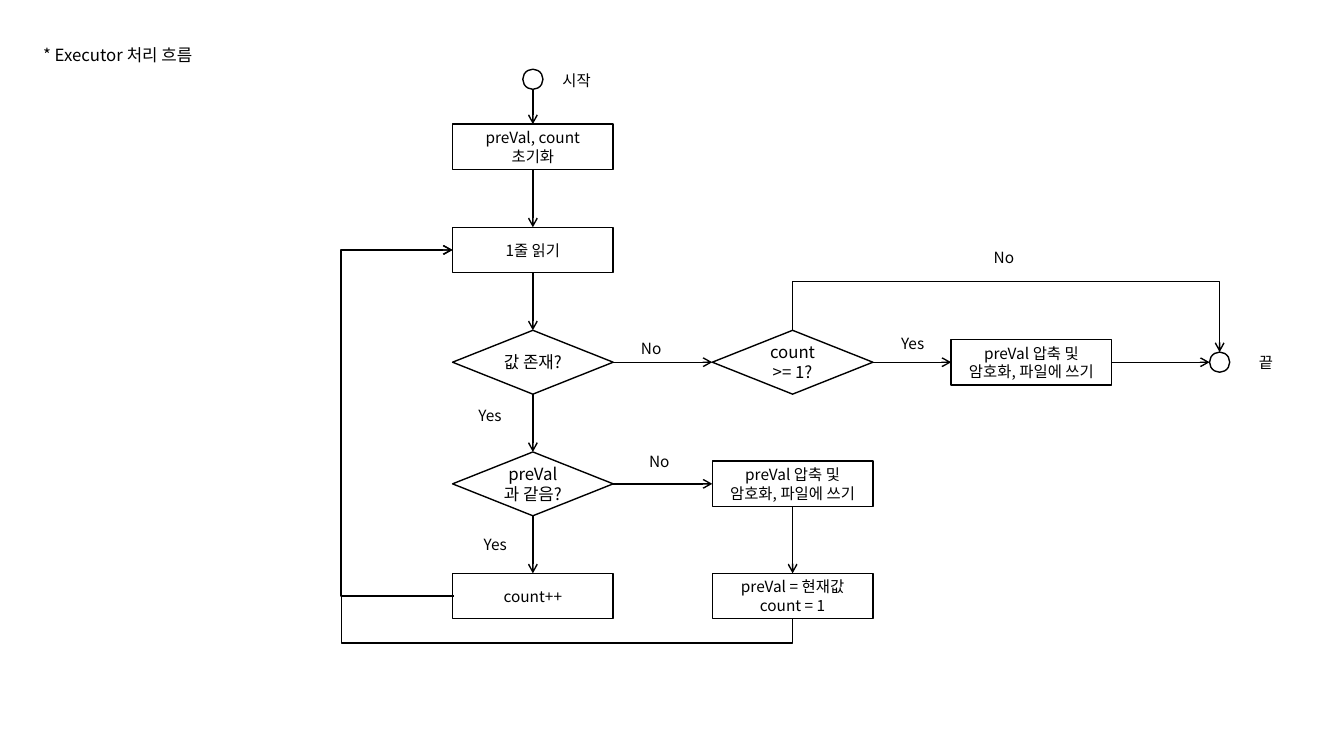
from lxml import etree
from pptx import Presentation
from pptx import util as u
from pptx.dml.color import RGBColor
from pptx.enum import shapes, text
from pptx.oxml import ns

BLACK = RGBColor(0, 0, 0)
FONT = "Noto Sans CJK KR"
GRID_COLUMNS, GRID_ROWS = 40, 22.5
TOP, LEFT, BOTTOM, RIGHT = range(4)
PROCESS = shapes.MSO_SHAPE.FLOWCHART_PROCESS
DECISION = shapes.MSO_SHAPE.FLOWCHART_DECISION
CIRCLE = shapes.MSO_SHAPE.FLOWCHART_CONNECTOR
SIZES = {PROCESS: (4.78, 1.35), DECISION: (4.78, 1.9), CIRCLE: (0.6, 0.6)}
MAIN, SIDE, WRITE, FINISH = 15.86, 23.59, 30.7, 36.3
START_ROW, INIT_ROW, READ_ROW, EXIST_ROW, SAME_ROW, COUNT_ROW = 2.36, 4.37, 7.44, 10.78, 14.4, 17.74
LOOP_COLUMN, LOOP_ROW, SKIP_ROW = 10.17, 19.14, 8.37
WRITE_TEXT = "preVal 압축 및\n암호화, 파일에 쓰기"

NODES = {
    "start": (CIRCLE, MAIN, START_ROW, ""),
    "init": (PROCESS, MAIN, INIT_ROW, "preVal, count\n초기화"),
    "read": (PROCESS, MAIN, READ_ROW, "1줄 읽기"),
    "exists": (DECISION, MAIN, EXIST_ROW, "값 존재?"),
    "same": (DECISION, MAIN, SAME_ROW, "preVal과 같음?"),
    "increase": (PROCESS, MAIN, COUNT_ROW, "count++"),
    "write": (PROCESS, SIDE, SAME_ROW, WRITE_TEXT),
    "reset": (PROCESS, SIDE, COUNT_ROW, "preVal = 현재값\ncount = 1"),
    "counted": (DECISION, SIDE, EXIST_ROW, "count >= 1?"),
    "last write": (PROCESS, WRITE, EXIST_ROW, WRITE_TEXT),
    "end": (CIRCLE, FINISH, EXIST_ROW, ""),
}
DOWNWARD = [("start", "init"), ("init", "read"), ("read", "exists"), ("exists", "same"),
            ("same", "increase"), ("write", "reset")]
RIGHTWARD = [("exists", "counted"), ("same", "write"), ("counted", "last write"), ("last write", "end")]
LABELS = [("시작", 16.44, 1.97, 1.53), ("끝", 37.17, 10.36, 1.08),
          ("No", 18.78, 9.94, 1.23), ("Yes", 13.94, 11.95, 1.32),
          ("Yes", 14.1, 15.79, 1.32), ("No", 19.02, 13.3, 1.23),
          ("Yes", 26.52, 9.8, 1.32), ("No", 29.28, 7.25, 1.23)]


def set_values(target, values):
    for name, value in values.items():
        setattr(target, name, value)


def write_text(frame, content, size, alignment):
    for index, line in enumerate(content.split("\n")):
        paragraph = frame.paragraphs[0] if index == 0 else frame.add_paragraph()
        paragraph.alignment = alignment
        run = paragraph.add_run()
        run.text = line
        set_values(run.font, {"size": u.Pt(size), "name": FONT})
        run.font.color.rgb = BLACK
        etree.SubElement(run.font._element, ns.qn("a:ea"), typeface=FONT)


def add_label(slide, box, content, column, row, width, size=11):
    left, top, unit_x, unit_y = box
    label = slide.shapes.add_textbox(int(left + column * unit_x), int(top + row * unit_y),
                                     int(width * unit_x), int(0.87 * unit_y))
    set_values(label.text_frame, {"word_wrap": False, "auto_size": text.MSO_AUTO_SIZE.SHAPE_TO_FIT_TEXT})
    write_text(label.text_frame, content, size, text.PP_ALIGN.LEFT)


def add_node(slide, box, kind, column, row, content):
    left, top, unit_x, unit_y = box
    width, height = SIZES[kind]
    shape = slide.shapes.add_shape(kind, int(left + (column - width / 2) * unit_x),
                                   int(top + (row - height / 2) * unit_y),
                                   int(width * unit_x), int(height * unit_y))
    shape.shadow.inherit = False
    shape.fill.background()
    shape.line.color.rgb = BLACK
    shape.line.width = u.Pt(1)
    if content:
        shape.text_frame.vertical_anchor = text.MSO_ANCHOR.MIDDLE
        write_text(shape.text_frame, content, 12 if kind == DECISION else 11, text.PP_ALIGN.CENTER)
    return shape


def port(shape, side):
    share_x, share_y = ((0.5, 0), (0, 0.5), (0.5, 1), (1, 0.5))[side]
    return int(shape.left + share_x * shape.width), int(shape.top + share_y * shape.height)


def add_arrow(slide, kind, begin, end):
    connector = slide.shapes.add_connector(kind, *begin, *end)
    connector.line.color.rgb = BLACK
    connector.line.width = u.Pt(1)
    line = connector.line._get_or_add_ln()
    etree.SubElement(line, ns.qn("a:tailEnd"), type="arrow")
    etree.SubElement(connector._element.spPr, ns.qn("a:effectLst"))
    return connector


def add_straight(slide, nodes, begin, begin_side, end, end_side):
    source, target = nodes[begin], nodes[end]
    connector = add_arrow(slide, shapes.MSO_CONNECTOR.STRAIGHT,
                          port(source, begin_side), port(target, end_side))
    if begin != "start":
        connector.begin_connect(source, begin_side)
    if end != "end":
        connector.end_connect(target, end_side)


def add_elbow(slide, begin, end, bends, vertical=False):
    connector = add_arrow(slide, shapes.MSO_CONNECTOR.ELBOW, begin, end)
    geometry = connector._element.spPr.find(ns.qn("a:prstGeom"))
    geometry.set("prst", f"bentConnector{len(bends) + 2}")
    guides = geometry.find(ns.qn("a:avLst"))
    if guides is None:
        guides = etree.SubElement(geometry, ns.qn("a:avLst"))
    for index, bend in enumerate(bends):
        axis = (index + vertical) % 2
        share = (bend - begin[axis]) / (end[axis] - begin[axis])
        etree.SubElement(guides, ns.qn("a:gd"), name=f"adj{index + 1}", fmla=f"val {round(share * 100000)}")
    if vertical:
        width, height = abs(end[1] - begin[1]), abs(end[0] - begin[0])
        set_values(connector, {"left": (begin[0] + end[0] - width) // 2,
                               "top": (begin[1] + end[1] - height) // 2,
                               "width": width, "height": height})
        frame = connector._element.spPr.find(ns.qn("a:xfrm"))
        frame.attrib.pop("flipV", None)
        frame.set("flipH", "1")
        frame.set("rot", str((90 if end[1] < begin[1] else 270) * 60000))


def add_flow(slide, box):
    left, top, unit_x, unit_y = box
    nodes = {name: add_node(slide, box, *node) for name, node in NODES.items()}
    for begin, end in DOWNWARD:
        add_straight(slide, nodes, begin, BOTTOM, end, TOP)
    for begin, end in RIGHTWARD:
        add_straight(slide, nodes, begin, RIGHT, end, LEFT)
    loop_x = left + LOOP_COLUMN * unit_x
    loop_y, skip_y = (top + row * unit_y for row in (LOOP_ROW, SKIP_ROW))
    entry = port(nodes["read"], LEFT)
    exit_x, exit_y = port(nodes["increase"], LEFT)
    add_elbow(slide, (int(exit_x + 0.04 * unit_x), exit_y), entry, [loop_x])
    add_elbow(slide, port(nodes["reset"], BOTTOM), entry, [loop_y, loop_x], vertical=True)
    add_elbow(slide, port(nodes["counted"], TOP), port(nodes["end"], TOP), [skip_y], vertical=True)
    for label in LABELS:
        add_label(slide, box, *label)


def add_title(slide, box):
    add_label(slide, box, "* Executor 처리 흐름", 0.99, 1.17, 5.34, size=12)


presentation = Presentation()
set_values(presentation, {"slide_width": u.Inches(13.33), "slide_height": u.Inches(7.5)})
slide = presentation.slides.add_slide(presentation.slide_layouts[6])
page = (0, 0, presentation.slide_width / GRID_COLUMNS, presentation.slide_height / GRID_ROWS)
add_flow(slide, page)
add_title(slide, page)
presentation.save("out.pptx")
